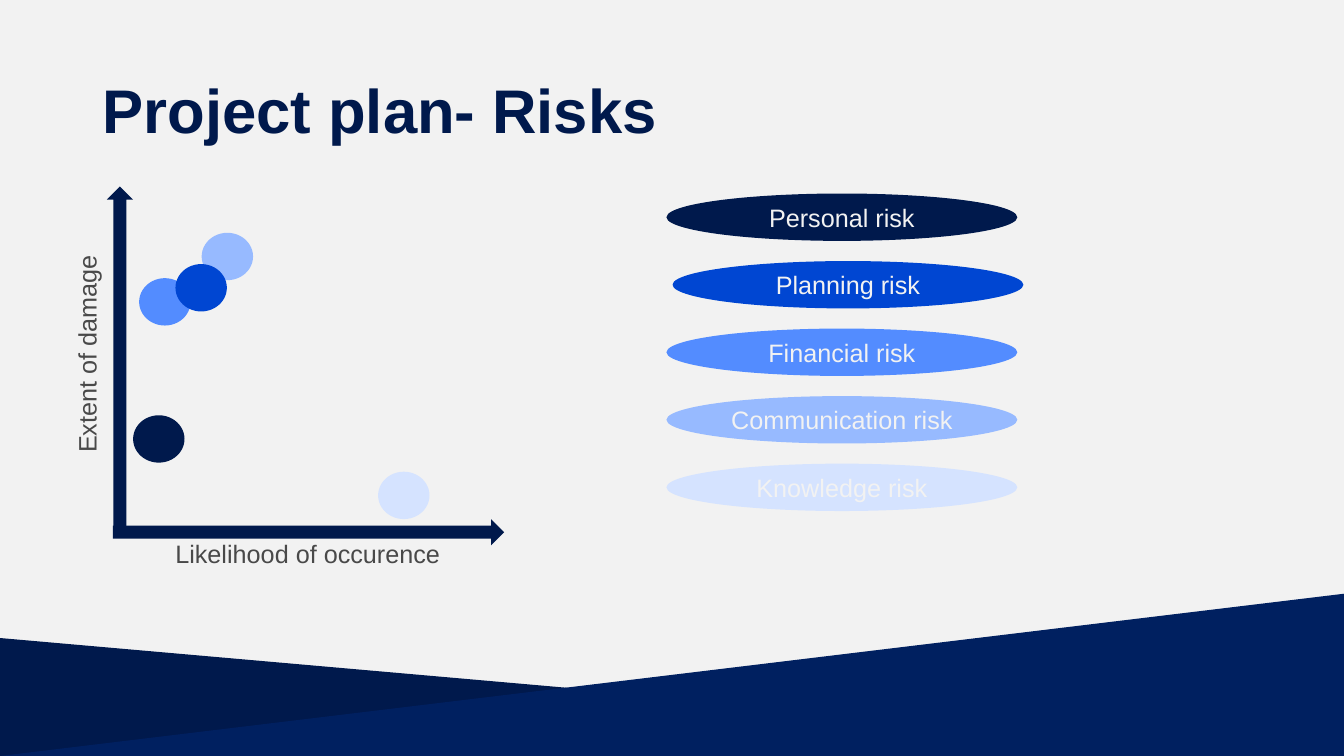
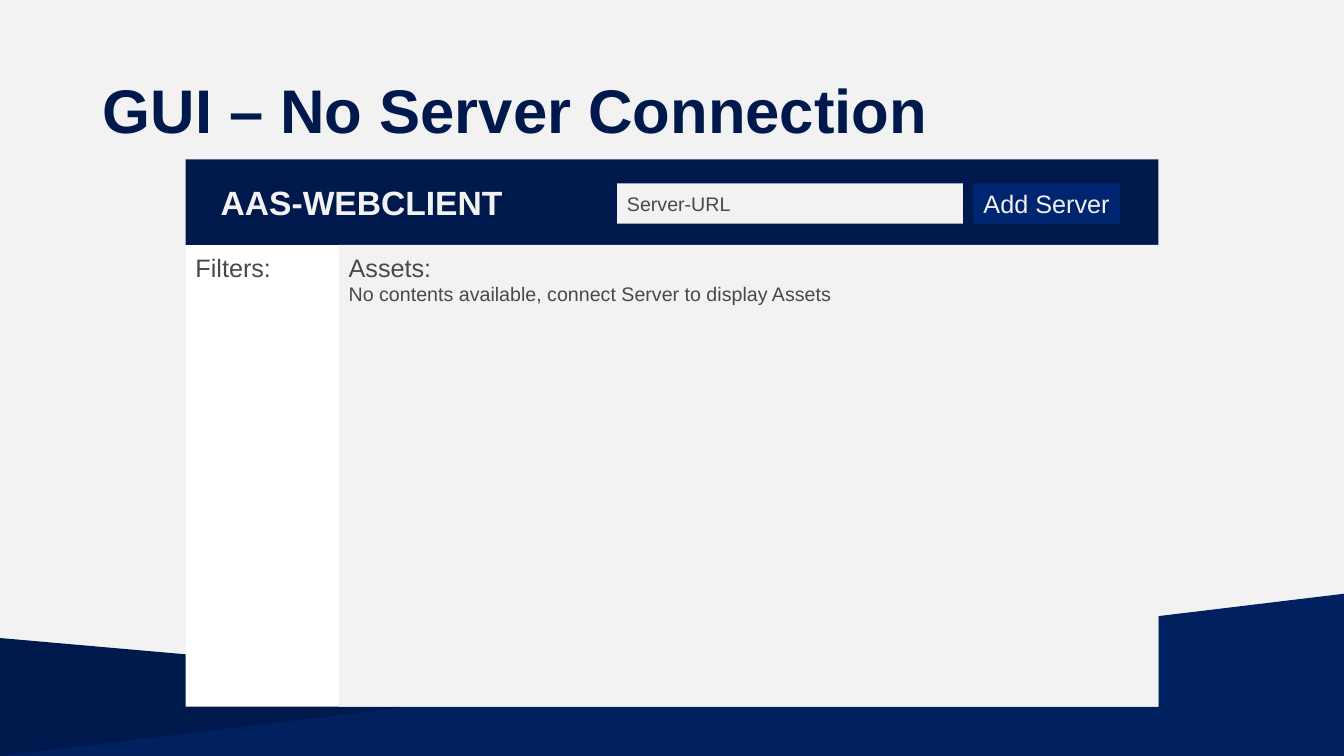
from pptx import Presentation
from pptx.dml.color import RGBColor
from pptx.enum.shapes import MSO_SHAPE
from pptx.enum.text import MSO_ANCHOR, PP_ALIGN
from pptx.util import Inches, Pt

SLIDE_W, SLIDE_H = 13.33, 7.5
FONT = "Arial"
COLORS = {
    "background": "F2F2F2",
    "white": "FFFFFF",
    "navy": "00194C",
    "band": "002060",
    "button": "002570",
    "blue": "0046D2",
    "mid": "538CFF",
    "light": "97BAFF",
    "pale": "D5E3FF",
    "gray": "494949",
}
# Label, colour, left offset of the legend entry
RISKS = [
    ("Personal risk", "navy", 0),
    ("Planning risk", "blue", 0.06),
    ("Financial risk", "mid", 0),
    ("Communication risk", "light", 0),
    ("Knowledge risk", "pale", 0),
]
# Colour, left and top inside the risk chart, from back to front
DOTS = [
    ("light", 1.4, 0.46),
    ("navy", 0.72, 2.27),
    ("mid", 0.78, 0.91),
    ("blue", 1.14, 0.77),
    ("pale", 3.15, 2.83),
]


def rgb(name):
    return RGBColor.from_string(COLORS[name])


def write(sp, lines, color, align=PP_ALIGN.LEFT, anchor=MSO_ANCHOR.TOP,
          bold=False, wrap=True, spacing=None):
    """Fill a shape with one paragraph for each (text, size) pair."""
    tf = sp.text_frame
    tf.word_wrap = wrap
    tf.vertical_anchor = anchor
    for i, (text, size) in enumerate(lines):
        p = tf.add_paragraph() if i else tf.paragraphs[0]
        p.alignment = align
        if spacing:
            p.line_spacing = spacing
        r = p.add_run()
        r.text = text
        r.font.name = FONT
        r.font.size = Pt(size)
        r.font.bold = bold
        r.font.color.rgb = rgb(color)


def add_shape(s, kind, x, y, w, h, fill):
    sp = s.shapes.add_shape(kind, Inches(x), Inches(y), Inches(w), Inches(h))
    sp.shadow.inherit = False
    sp.fill.solid()
    sp.fill.fore_color.rgb = rgb(fill)
    sp.line.fill.background()
    return sp


def add_text(s, x, y, w, h, lines, color="gray", **style):
    sp = s.shapes.add_textbox(Inches(x), Inches(y), Inches(w), Inches(h))
    write(sp, lines, color, **style)
    return sp


def add_base_slide(prs, title):
    """Add a slide with the shared background, bottom bands and title."""
    s = prs.slides.add_slide(prs.slide_layouts[6])
    s.background.fill.solid()
    s.background.fill.fore_color.rgb = rgb("background")
    for height, apex, color in ((1.17, 0, "navy"), (1.61, 1, "band")):
        band = add_shape(s, MSO_SHAPE.ISOSCELES_TRIANGLE,
                         0, SLIDE_H - height, SLIDE_W, height, color)
        band.adjustments[0] = apex
    add_text(s, 0.92, 0.4, 11.5, 1.45, [(title, 44)], "navy",
             anchor=MSO_ANCHOR.MIDDLE, bold=True, spacing=0.9)
    return s


def add_risk_chart(s, x, y):
    thickness, dot_w, dot_h = 0.26, 0.51, 0.47
    add_shape(s, MSO_SHAPE.UP_ARROW, x + 0.46, y, thickness, 3.44, "navy")
    add_shape(s, MSO_SHAPE.RIGHT_ARROW, x + 0.52, y + 3.3, 3.88, thickness, "navy")
    add_text(s, x + 1.04, y + 3.44, 2.85, 0.4,
             [("Likelihood of occurence", 18)], wrap=False)
    damage = add_text(s, x - 0.83, y + 1.45, 2.18, 0.4,
                      [("Extent of damage", 18)], wrap=False)
    damage.rotation = 270
    for color, dx, dy in DOTS:
        add_shape(s, MSO_SHAPE.OVAL, x + dx, y + dy, dot_w, dot_h, color)


def add_risk_legend(s, x, y):
    width, height, pitch = 3.48, 0.47, 0.67
    for i, (label, color, offset) in enumerate(RISKS):
        sp = add_shape(s, MSO_SHAPE.OVAL, x + offset, y + i * pitch,
                       width, height, color)
        write(sp, [(label, 18)], "background", PP_ALIGN.CENTER, MSO_ANCHOR.MIDDLE)


def add_client_header(s, x, y, w, h):
    field_y, field_h = y + 0.24, 0.4
    add_shape(s, MSO_SHAPE.RECTANGLE, x, y, w, h, "navy")
    add_text(s, x + 0.25, y + 0.17, 3.9, 0.5, [("AAS-WEBCLIENT", 24)],
             "background", anchor=MSO_ANCHOR.MIDDLE, bold=True)
    url = add_shape(s, MSO_SHAPE.RECTANGLE, x + 4.28, field_y, 3.43, field_h,
                    "background")
    write(url, [("Server-URL", 14)], "gray", anchor=MSO_ANCHOR.MIDDLE)
    button = add_shape(s, MSO_SHAPE.RECTANGLE, x + 7.81, field_y, 1.46, field_h,
                       "button")
    write(button, [("Add Server", 18)], "background", PP_ALIGN.CENTER,
          MSO_ANCHOR.MIDDLE, wrap=False)


def add_client_window(s, x, y, w, h):
    header_h, filter_w = 0.85, 1.52
    body_y = y + header_h
    add_shape(s, MSO_SHAPE.RECTANGLE, x, y, w, h, "white")
    add_client_header(s, x, y, w, header_h)
    add_shape(s, MSO_SHAPE.RECTANGLE, x + filter_w, body_y,
              w - filter_w, h - header_h, "background")
    add_text(s, x + filter_w, body_y + 0.02, 5.16, 0.64, [
        ("Assets:", 18),
        ("No contents available, connect Server to display Assets", 14),
    ])
    add_text(s, x, body_y + 0.02, filter_w, 0.4, [("Filters:", 18)])


def main():
    prs = Presentation()
    prs.slide_width, prs.slide_height = Inches(SLIDE_W), Inches(SLIDE_H)

    s = add_base_slide(prs, "Project plan- Risks")
    add_risk_chart(s, 0.6, 1.85)
    add_risk_legend(s, 6.61, 1.92)

    s = add_base_slide(prs, "GUI – No Server Connection")
    add_client_window(s, 1.84, 1.58, 9.65, 5.43)

    prs.save("out.pptx")


if __name__ == "__main__":
    main()
